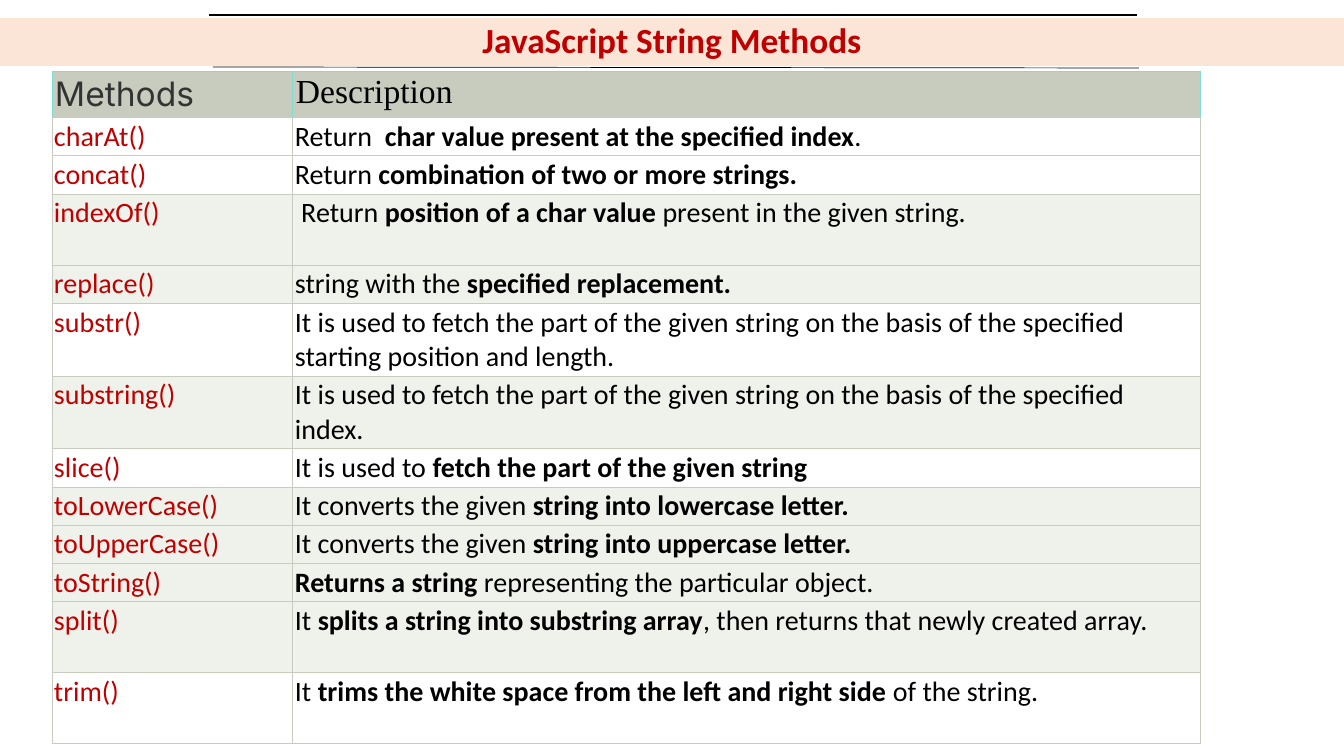
import pptx
import pptx.dml.color
import pptx.enum.shapes
import pptx.enum.text
import pptx.oxml
import pptx.oxml.ns
import pptx.util
from dataclasses import dataclass


@dataclass(frozen=True)
class Theme:
    band: str = "FBE5D6"
    accent: str = "C00000"
    ink: str = "000000"
    header_ink: str = "333333"
    grid: str = "C7CCBE"
    header_edge: str = "80DCD5"
    shaded: str = "EFF1EB"
    plain: str = "FFFFFF"
    body_font: str = "Calibri"
    method_header_font: str = "Inter"
    description_header_font: str = "Times New Roman"
    title_size: float = 25.2
    header_size: int = 24
    body_size: int = 20


THEME = Theme()
EMU_PER_PX = 914400 / 100.8
SLIDE_SIZE = (1344, 756)
COLUMN_WIDTHS = (241, 908)
HEADER_HEIGHT, SHORT_ROW, TALL_ROW = 46, 37, 71

# Method, row height, row fill, description as alternating regular and bold runs
METHODS = [
    ("charAt()", SHORT_ROW, THEME.plain,
     ("Return  ", "char value present at the specified index", ".")),
    ("concat()", SHORT_ROW, THEME.plain,
     ("Return ", "combination of two or more strings.")),
    ("indexOf()", TALL_ROW, THEME.shaded,
     (" Return ", "position of a char value ", "present in the given string.")),
    ("replace()", SHORT_ROW, THEME.shaded,
     ("string with the ", "specified replacement.")),
    ("substr()", TALL_ROW, THEME.plain,
     ("It is used to fetch the part of the given string on the basis of "
      "the specified starting position and length.",)),
    ("substring()", TALL_ROW, THEME.shaded,
     ("It is used to fetch the part of the given string on the basis of "
      "the specified index.",)),
    ("slice()", SHORT_ROW, THEME.plain,
     ("It is used to ", "fetch the part of the given string")),
    ("toLowerCase()", SHORT_ROW, THEME.shaded,
     ("It converts the given ", "string into lowercase letter.")),
    ("toUpperCase()", SHORT_ROW, THEME.shaded,
     ("It converts the given ", "string into uppercase letter.")),
    ("toString()", SHORT_ROW, THEME.shaded,
     ("", "Returns a string ", "representing the particular object.")),
    ("split()", TALL_ROW, THEME.shaded,
     ("It ", "splits a string into substring array",
      ", then returns that newly created array.")),
    ("trim()", TALL_ROW, THEME.plain,
     ("It ", "trims the white space from the left and right side",
      " of the string.")),
]


def px(length):
    return pptx.util.Emu(round(length * EMU_PER_PX))


def rgb(color):
    return pptx.dml.color.RGBColor.from_string(color)


def add_run(paragraph, text, font, size, color, bold=False):
    run = paragraph.add_run()
    run.text = text
    run.font.name = font
    run.font.size = pptx.util.Pt(size)
    run.font.color.rgb = rgb(color)
    run.font.bold = bold


def add_title(slide, text, left, top, width, height):
    shape = slide.shapes.add_shape(
        pptx.enum.shapes.MSO_SHAPE.RECTANGLE,
        px(left), px(top), px(width), px(height))
    shape.shadow.inherit = False
    shape.fill.solid()
    shape.fill.fore_color.rgb = rgb(THEME.band)
    shape.line.fill.background()
    frame = shape.text_frame
    frame.word_wrap = True
    frame.vertical_anchor = pptx.enum.text.MSO_ANCHOR.MIDDLE
    paragraph = frame.paragraphs[0]
    paragraph.alignment = pptx.enum.text.PP_ALIGN.CENTER
    paragraph.line_spacing = 0.9
    add_run(paragraph, text, THEME.body_font, THEME.title_size,
            THEME.accent, bold=True)


def add_rule(slide, start, end, weight):
    rule = slide.shapes.add_connector(
        pptx.enum.shapes.MSO_CONNECTOR.STRAIGHT,
        *(px(value) for value in (*start, *end)))
    rule.line.color.rgb = rgb(THEME.ink)
    rule.line.width = pptx.util.Pt(weight)
    properties = rule._element.spPr
    properties.append(pptx.oxml.parse_xml(
        f"<a:effectLst {pptx.oxml.ns.nsdecls('a')}/>"))


def style_cell(cell, fill, edge, inset):
    """Set borders, fill and margins; the bottom border is always grid-coloured."""
    properties = cell._tc.get_or_add_tcPr()
    sides = {"L": edge, "R": edge, "T": edge, "B": THEME.grid}
    for side, color in sides.items():
        properties.append(pptx.oxml.parse_xml(
            f"<a:ln{side} {pptx.oxml.ns.nsdecls('a')} w='9525'>"
            f"<a:solidFill><a:srgbClr val='{color}'/></a:solidFill>"
            f"</a:ln{side}>"))
    cell.fill.solid()
    cell.fill.fore_color.rgb = rgb(fill)
    cell.margin_left = cell.margin_right = px(inset)
    cell.margin_top = cell.margin_bottom = px(inset)


def fill_header(table):
    headings = [
        ("Methods", THEME.method_header_font, THEME.header_ink),
        ("Description", THEME.description_header_font, THEME.ink),
    ]
    for column, (text, font, color) in enumerate(headings):
        cell = table.cell(0, column)
        style_cell(cell, THEME.grid, THEME.header_edge, 3)
        add_run(cell.text_frame.paragraphs[0], text, font,
                THEME.header_size, color)
    table.cell(0, 0).text_frame.paragraphs[0].alignment = (
        pptx.enum.text.PP_ALIGN.JUSTIFY)


def fill_method_row(table, row, method, fill, description):
    method_cell, description_cell = table.cell(row, 0), table.cell(row, 1)
    for cell in (method_cell, description_cell):
        style_cell(cell, fill, THEME.grid, 2)
    add_run(method_cell.text_frame.paragraphs[0], method,
            THEME.body_font, THEME.body_size, THEME.accent)
    for index, text in enumerate(description):
        if text:
            add_run(description_cell.text_frame.paragraphs[0], text,
                    THEME.body_font, THEME.body_size, THEME.ink,
                    bold=index % 2 == 1)


def add_method_table(slide, left, top):
    heights = [HEADER_HEIGHT] + [height for _, height, _, _ in METHODS]
    table = slide.shapes.add_table(
        len(heights), len(COLUMN_WIDTHS), px(left), px(top),
        px(sum(COLUMN_WIDTHS)), px(sum(heights))).table
    table.first_row = False
    table.horz_banding = False
    for column, width in zip(table.columns, COLUMN_WIDTHS):
        column.width = px(width)
    for row, height in zip(table.rows, heights):
        row.height = px(height)
    fill_header(table)
    for row, (method, _, fill, description) in enumerate(METHODS, start=1):
        fill_method_row(table, row, method, fill, description)


def main():
    presentation = pptx.Presentation()
    presentation.slide_width, presentation.slide_height = map(px, SLIDE_SIZE)
    slide = presentation.slides.add_slide(presentation.slide_layouts[6])
    add_title(slide, "JavaScript String Methods", 0, 18, SLIDE_SIZE[0], 48)
    add_rule(slide, (209, 15), (1137, 15), 0.96)
    add_rule(slide, (213, 67), (1139, 68), 0.5)
    add_method_table(slide, 52, 71)
    presentation.save("out.pptx")


if __name__ == "__main__":
    main()
